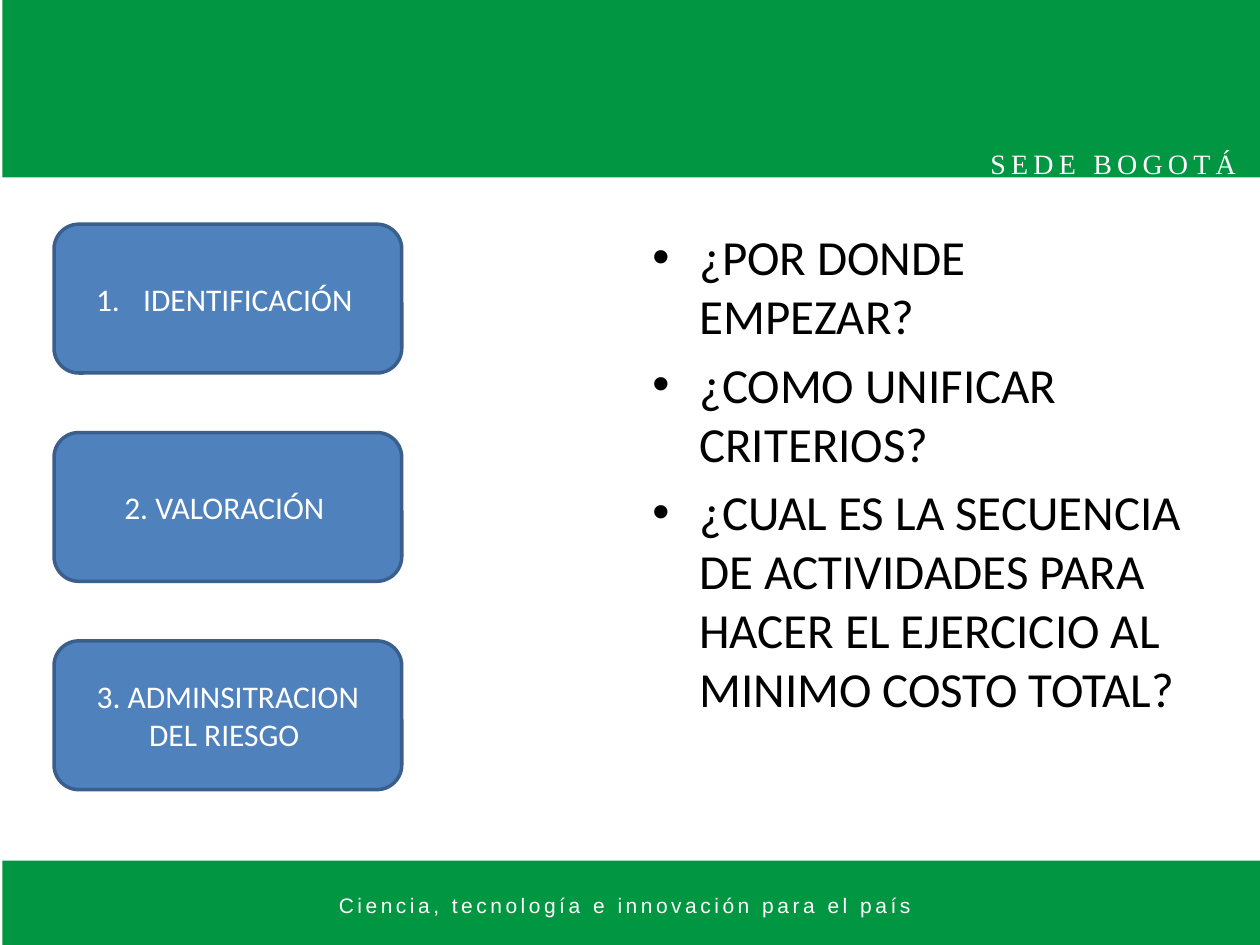
"""Build the risk management slide with its three stages and guiding questions."""
from lxml.etree import SubElement
from pptx import Presentation
from pptx.dml.color import RGBColor
from pptx.enum.shapes import MSO_SHAPE
from pptx.enum.text import MSO_ANCHOR, MSO_AUTO_SIZE, PP_ALIGN
from pptx.oxml.ns import qn
from pptx.util import Cm, Pt

GREEN = RGBColor(0x00, 0x96, 0x42)
BLUE = RGBColor(0x4F, 0x81, 0xBD)
DARK_BLUE = RGBColor(0x3A, 0x5F, 0x8C)
WHITE = RGBColor(0xFF, 0xFF, 0xFF)
BLACK = RGBColor(0x00, 0x00, 0x00)

STAGES = ["IDENTIFICACIÓN ", "2. VALORACIÓN ", "3. ADMINSITRACION DEL RIESGO "]
QUESTIONS = [
    "¿POR DONDE EMPEZAR?",
    "¿COMO UNIFICAR CRITERIOS?",
    "¿CUAL ES LA SECUENCIA DE ACTIVIDADES PARA HACER EL EJERCICIO AL MINIMO COSTO TOTAL?",
]


def write(paragraph, text, color, font_format, spacing=0):
    run = paragraph.add_run()
    run.text = text
    run.font.color.rgb = color
    for name, value in font_format.items():
        setattr(run.font, name, value)
    if spacing:
        run.font._element.set("spc", str(spacing * 100))


def add_marker(paragraph, tag, **attributes):
    properties = paragraph._p.get_or_add_pPr()
    properties.set("marL", str(Cm(0.95)))
    properties.set("indent", str(-Cm(0.95)))
    SubElement(properties, qn("a:buFont"), typeface="Arial" if tag == "a:buChar" else "+mj-lt")
    SubElement(properties, qn(tag), **attributes)


def add_block(slide, kind, box, fill):
    block = slide.shapes.add_shape(kind, *map(Cm, box))
    block.shadow.inherit = False
    block.fill.solid()
    block.fill.fore_color.rgb = fill
    return block


def add_band(slide, top, height):
    band = add_block(slide, MSO_SHAPE.RECTANGLE, (0.05, top, 25.4, height), GREEN)
    band.line.fill.background()


def add_caption(slide, box, text, font_format, spacing):
    frame = slide.shapes.add_textbox(*map(Cm, box)).text_frame
    frame.word_wrap = True
    frame.auto_size = MSO_AUTO_SIZE.SHAPE_TO_FIT_TEXT
    frame.paragraphs[0].alignment = PP_ALIGN.CENTER
    write(frame.paragraphs[0], text, WHITE, font_format, spacing)


def add_stage(slide, index, text):
    stage = add_block(slide, MSO_SHAPE.ROUNDED_RECTANGLE, (1.09, 4.52 + 4.2 * index, 7.01, 3), BLUE)
    stage.line.color.rgb = DARK_BLUE
    stage.line.width = Pt(2)
    stage.text_frame.vertical_anchor = MSO_ANCHOR.MIDDLE
    paragraph = stage.text_frame.paragraphs[0]
    paragraph.alignment = PP_ALIGN.CENTER
    write(paragraph, text, WHITE, {"name": "Calibri", "size": Pt(18)})
    return paragraph


def add_questions(slide, questions):
    frame = slide.shapes.add_textbox(Cm(12.9), Cm(4.45), Cm(11.23), Cm(12.57)).text_frame
    frame.word_wrap = True
    for index, question in enumerate(questions):
        paragraph = frame.add_paragraph() if index else frame.paragraphs[0]
        paragraph.space_before = Pt(5.6)
        add_marker(paragraph, "a:buChar", char="•")
        write(paragraph, question, BLACK, {"name": "Calibri", "size": Pt(28)})


def main():
    presentation = Presentation()
    presentation.slide_width, presentation.slide_height = Cm(25.4), Cm(19.05)
    slide = presentation.slides.add_slide(presentation.slide_layouts[6])

    add_band(slide, 0, 3.58)
    add_band(slide, 17.35, 1.78)
    add_caption(slide, (0, 17.86, 25.4, 0.76), "Ciencia, tecnología e innovación para el país ",
                {"name": "Arial", "size": Pt(12)}, 2)
    add_caption(slide, (18.47, 2.82, 7.95, 0.94), "SEDE BOGOTÁ",
                {"name": "Times New Roman", "size": Pt(16)}, 3)
    add_questions(slide, QUESTIONS)

    first, *_ = [add_stage(slide, index, text) for index, text in enumerate(STAGES)]
    add_marker(first, "a:buAutoNum", type="arabicPeriod")

    presentation.save("out.pptx")


if __name__ == "__main__":
    main()
